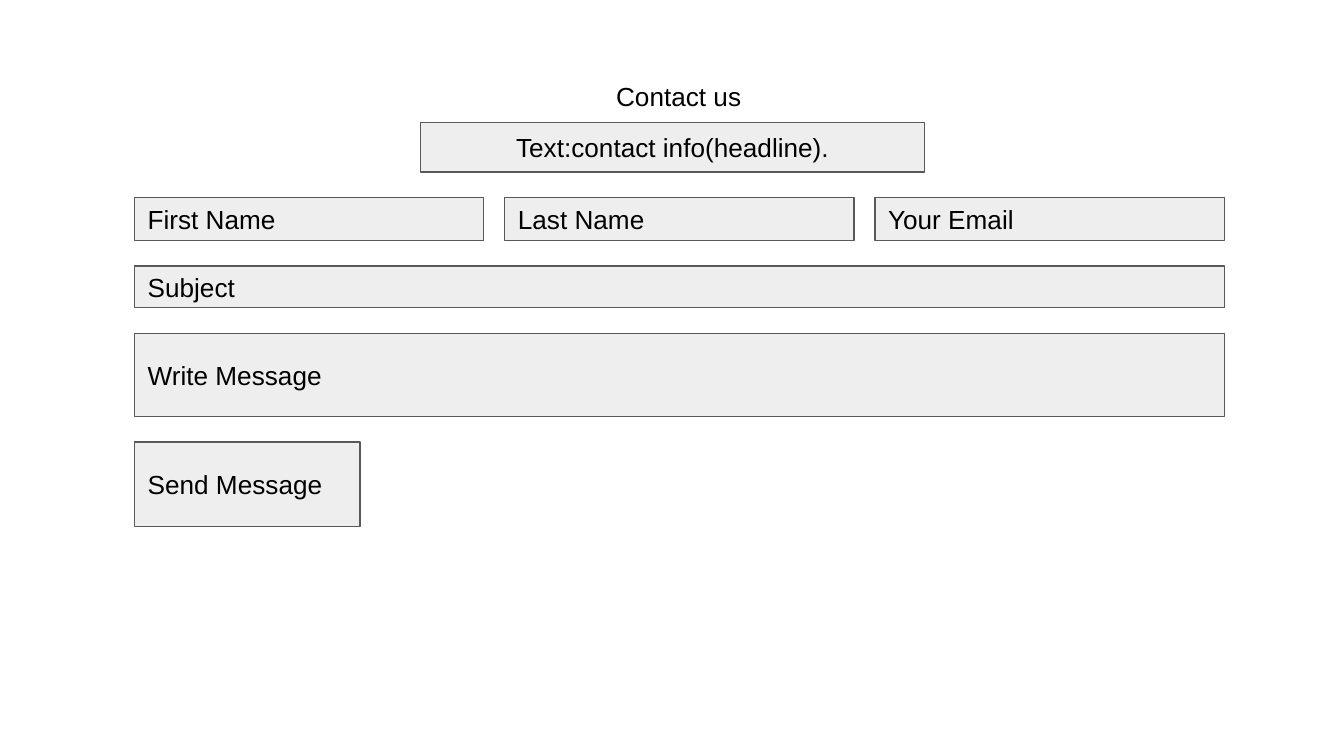
from pptx import Presentation
from pptx import util as u
from pptx.dml.color import RGBColor
from pptx.enum import shapes, text

BLACK = RGBColor(0x00, 0x00, 0x00)
FIELD_GREY = RGBColor(0xEE, 0xEE, 0xEE)
BORDER_GREY = RGBColor(0x59, 0x59, 0x59)

# Form grid, in inches
LEFT, TOP, WIDTH = 1, 1.47, 8.11
FIELD_WIDTH, ROW_GAP = 2.6, 0.19


def write(frame, wording, align, anchor):
    frame.word_wrap = True
    frame.auto_size = text.MSO_AUTO_SIZE.NONE
    frame.vertical_anchor = anchor
    frame.margin_left = frame.margin_right = u.Inches(0.1)
    frame.margin_top = frame.margin_bottom = u.Inches(0.1)
    paragraph = frame.paragraphs[0]
    paragraph.alignment = align
    run = paragraph.add_run()
    run.text = wording
    run.font.name = "Arial"
    run.font.size = u.Pt(14)
    run.font.color.rgb = BLACK


def add_field(wording, left, top, width, height, align=text.PP_ALIGN.LEFT):
    field = slide.shapes.add_shape(
        shapes.MSO_SHAPE.RECTANGLE,
        u.Inches(left), u.Inches(top), u.Inches(width), u.Inches(height))
    field.shadow.inherit = False
    field.fill.solid()
    field.fill.fore_color.rgb = FIELD_GREY
    field.line.color.rgb = BORDER_GREY
    field.line.width = u.Pt(0.75)
    write(field.text_frame, wording, align, text.MSO_ANCHOR.MIDDLE)


# Widescreen slide, 16:9
prs = Presentation()
prs.slide_width = u.Inches(10)
prs.slide_height = prs.slide_width * 9 // 16
slide = prs.slides.add_slide(prs.slide_layouts[5])

# Heading
heading = slide.shapes.title
heading.left, heading.top = u.Inches(0.39), u.Inches(0.5)
heading.width, heading.height = u.Inches(9.32), u.Inches(0.47)
write(heading.text_frame, "Contact us", text.PP_ALIGN.CENTER, text.MSO_ANCHOR.TOP)

# Contact headline
add_field("Text:contact info(headline).", 3.13, 0.91, 3.75, 0.37, text.PP_ALIGN.CENTER)

# Form rows: labels, field width, row height
form_rows = [
    (["First Name", "Last Name", "Your Email"], FIELD_WIDTH, 0.32),
    (["Subject"], WIDTH, 0.31),
    (["Write Message"], WIDTH, 0.62),
    (["Send Message"], 1.68, 0.63),
]
column_step = (WIDTH - FIELD_WIDTH) / 2
row_top = TOP
for labels, field_width, row_height in form_rows:
    for column, label in enumerate(labels):
        add_field(label, LEFT + column * column_step, row_top, field_width, row_height)
    row_top += row_height + ROW_GAP

prs.save("out.pptx")
